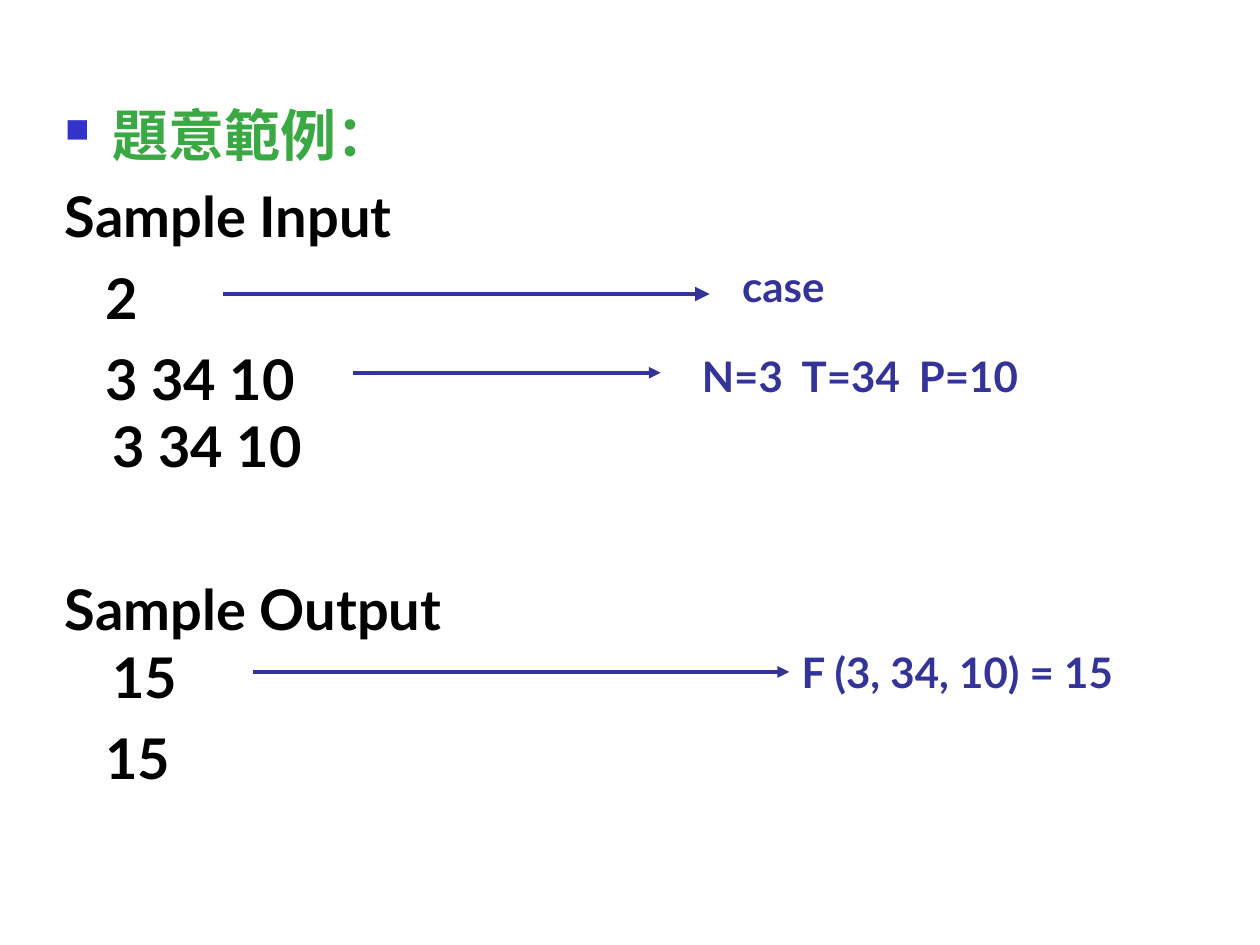
from dataclasses import dataclass

from lxml import etree
from pptx import Presentation
from pptx.dml.color import RGBColor
from pptx.enum import shapes
from pptx.oxml import ns
from pptx.util import Pt

GREEN = RGBColor(0x3B, 0xA9, 0x43)
BLACK = RGBColor(0, 0, 0)
INDIGO = RGBColor(0x33, 0x33, 0x99)
BULLET_BLUE = RGBColor(0x33, 0x33, 0xCC)
HANG = 27
VALUE_INDENT = -4
LABEL_HEIGHT = 36


@dataclass
class SampleLine:
    text: str
    indent: float = -HANG
    before: float = 8
    font: str = "Lato"
    color: RGBColor = BLACK
    bullet: bool = False


@dataclass
class Note:
    text: str
    left: float
    top: float
    width: float
    arrow_start: float
    arrow_end: float
    arrow_y: float
    weight: float = 2.25
    tabs: tuple = ()
    joined: bool = False


SAMPLE = [
    SampleLine("題意範例：", before=0, font="Times New Roman", color=GREEN, bullet=True),
    SampleLine("Sample Input"),
    SampleLine("2", VALUE_INDENT),
    SampleLine("3 34 10\v3 34 10", VALUE_INDENT),
    SampleLine("Sample Output\v15", before=55),
    SampleLine("15", VALUE_INDENT),
]

NOTES = [
    Note("case", 417, 145.5, 102, 127.5, 405.5, 168, weight=2.75),
    Note("N=3\tT=34\tP=10", 394, 196.5, 232.5, 201.5, 377.5, 213, tabs=(57, 124)),
    Note("F (3, 34, 10) = 15", 451, 366, 235.5, 144.5, 451, 384, joined=True),
]


def add_element(parent, tag: str, **attributes):
    return etree.SubElement(parent, ns.qn(tag), **attributes)


def add_text(paragraph, content: str, font: str, size: float, color: RGBColor) -> None:
    for number, part in enumerate(content.split("\v")):
        if number:
            paragraph.add_line_break()
        run = paragraph.add_run()
        run.text = part
        run.font.name = font
        run.font.size = Pt(size)
        run.font.bold = True
        run.font.color.rgb = color


def add_box(slide, left: float, top: float, width: float, height: float):
    box = slide.shapes.add_textbox(Pt(left), Pt(top), Pt(width), Pt(height))
    box.text_frame.word_wrap = True
    return box


def add_sample(slide, lines: list[SampleLine]) -> None:
    frame = add_box(slide, 30, 54, 636, 443).text_frame
    for number, line in enumerate(lines):
        paragraph = frame.add_paragraph() if number else frame.paragraphs[0]
        properties = paragraph._p.get_or_add_pPr()
        properties.set("marL", str(Pt(HANG)))
        properties.set("indent", str(Pt(line.indent)))
        if line.bullet:
            bullet_color = add_element(properties, "a:buClr")
            add_element(bullet_color, "a:srgbClr", val=str(BULLET_BLUE))
            add_element(properties, "a:buSzPct", val="60000")
            add_element(properties, "a:buChar", char="■")
        else:
            add_element(properties, "a:buNone")
        paragraph.space_before = Pt(line.before)
        add_text(paragraph, line.text, line.font, 32, line.color)


def add_note(slide, note: Note) -> None:
    # Arrow from the sample value
    arrow = slide.shapes.add_connector(
        shapes.MSO_CONNECTOR.STRAIGHT,
        Pt(note.arrow_start), Pt(note.arrow_y), Pt(note.arrow_end), Pt(note.arrow_y),
    )
    arrow.line.color.rgb = INDIGO
    arrow.line.width = Pt(note.weight)
    add_element(arrow.line._get_or_add_ln(), "a:tailEnd", type="triangle")
    add_element(arrow._element.spPr, "a:effectLst")

    # Explanation at the arrow's tip
    label = add_box(slide, note.left, note.top, note.width, LABEL_HEIGHT)
    paragraph = label.text_frame.paragraphs[0]
    if note.tabs:
        tab_list = add_element(paragraph._p.get_or_add_pPr(), "a:tabLst")
        for position in note.tabs:
            add_element(tab_list, "a:tab", pos=str(Pt(position)), algn="l")
    add_text(paragraph, note.text, "Lato", 24, INDIGO)
    if note.joined:
        arrow.end_connect(label, 1)


def main() -> None:
    presentation = Presentation()
    presentation.slide_width = Pt(720)
    presentation.slide_height = Pt(540)
    slide = presentation.slides.add_slide(presentation.slide_layouts[6])
    add_sample(slide, SAMPLE)
    for note in NOTES:
        add_note(slide, note)
    presentation.save("out.pptx")


if __name__ == "__main__":
    main()
